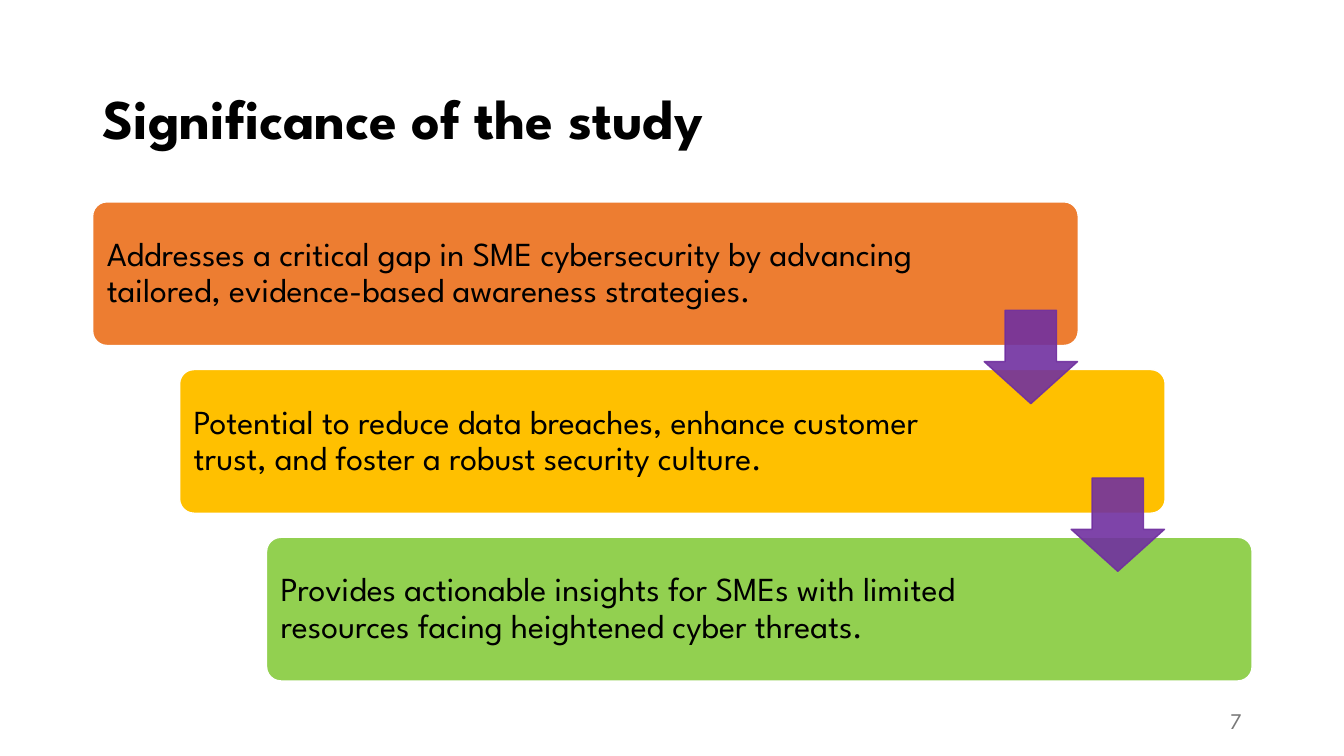
from dataclasses import dataclass

from lxml.etree import SubElement
from pptx import Presentation
from pptx.dml.color import RGBColor
from pptx.enum.shapes import MSO_SHAPE as Shape
from pptx.enum.text import MSO_ANCHOR as Anchor, MSO_AUTO_SIZE as AutoSize, PP_ALIGN as Align
from pptx.oxml.ns import qn
from pptx.util import Pt


@dataclass(frozen=True)
class Theme:
    font: str = "League Spartan"
    ink: str = "000000"
    muted: str = "797979"
    edge: str = "FFFFFF"
    arrow: str = "7030A0"
    cards: tuple = ("ED7D31", "FFC000", "92D050")
    title_size: int = 40
    body_size: int = 24
    number_size: int = 16


theme = Theme()


def write(shape, text, *, size, color=theme.ink, bold=False, align=Align.LEFT,
          line_spacing=1.0, insets=(7.2, 3.6, 7.2, 3.6)):
    """Fill a shape with one paragraph; insets are left, top, right, bottom in points."""
    frame = shape.text_frame
    frame.word_wrap = True
    frame.auto_size = AutoSize.NONE
    frame.vertical_anchor = Anchor.MIDDLE
    (frame.margin_left, frame.margin_top,
     frame.margin_right, frame.margin_bottom) = map(Pt, insets)
    paragraph = frame.paragraphs[0]
    paragraph.alignment = align
    paragraph.line_spacing = line_spacing
    run = paragraph.add_run()
    run.text = text
    run.font.name = theme.font
    run.font.size = Pt(size)
    run.font.bold = bold
    run.font.color.rgb = RGBColor.from_string(color)


def add_block(kind, left, top, width, height, *, fill, line, adjustments, opacity=100):
    shape = slide.shapes.add_shape(kind, Pt(left), Pt(top), Pt(width), Pt(height))
    shape.shadow.inherit = False
    for index, value in enumerate(adjustments):
        shape.adjustments[index] = value
    shape.fill.solid()
    shape.fill.fore_color.rgb = RGBColor.from_string(fill)
    shape.line.color.rgb = RGBColor.from_string(line)
    shape.line.width = Pt(1)
    if opacity < 100:
        for color in shape.element.spPr.iter(qn("a:srgbClr")):
            SubElement(color, qn("a:alpha"), val=str(opacity * 1000))
    return shape


presentation = Presentation()
presentation.slide_width = Pt(960)
presentation.slide_height = Pt(540)
slide = presentation.slides.add_slide(presentation.slide_layouts[5])

title = slide.shapes.title
title.left, title.top, title.width, title.height = Pt(66), Pt(53.5), Pt(828), Pt(66)
write(title, "Significance of the study", size=theme.title_size, bold=True, line_spacing=0.9)

# Staircase of cards: each one steps right and down by the same amount
card_left, card_top, card_width, card_height = 66.2, 144.2, 704, 102.6
step_x, step_y = 62.1, 119.8
points = [
    ("Addresses a critical gap in SME cybersecurity by advancing tailored, "
     "evidence-based awareness strategies.", 113),
    ("Potential to reduce data breaches, enhance customer trust, "
     "and foster a robust security culture.", 137),
    ("Provides actionable insights for SMEs with limited resources "
     "facing heightened cyber threats.", 137),
]
for index, (text, right_inset) in enumerate(points):
    card = add_block(Shape.ROUNDED_RECTANGLE, card_left + index * step_x,
                     card_top + index * step_y, card_width, card_height,
                     fill=theme.cards[index], line=theme.edge, adjustments=[0.1])
    write(card, text, size=theme.body_size, line_spacing=0.9,
          insets=(7.2, 7.2, right_inset, 7.2))

# Arrows link each card to the next, drawn above all cards
arrow_left, arrow_top, arrow_size = 703, 221.6, 66.7
for index in range(len(points) - 1):
    add_block(Shape.DOWN_ARROW, arrow_left + index * step_x, arrow_top + index * step_y,
              arrow_size, arrow_size, fill=theme.arrow, line=theme.arrow,
              adjustments=[0.55, 0.45], opacity=90)

slide_number = slide.shapes.add_textbox(Pt(678), Pt(500.5), Pt(216), Pt(28.8))
write(slide_number, "7", size=theme.number_size, color=theme.muted, align=Align.RIGHT)

presentation.save("out.pptx")
